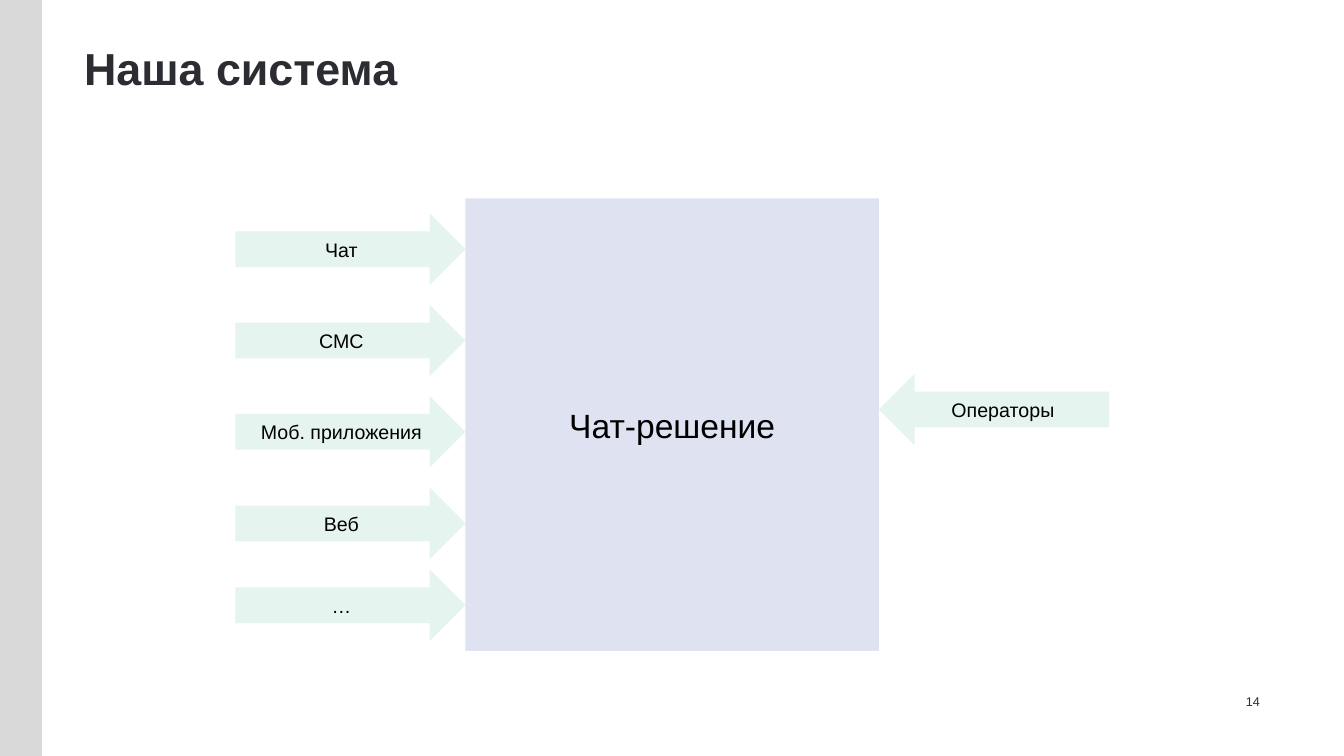
from pptx import Presentation
from pptx import util as u
from pptx.dml.color import RGBColor
from pptx.enum import shapes, text

Cm = u.Cm
INK = "2B2D33"
BLACK = "000000"
MINT = "E6F4F0"
LAVENDER = "DFE2F1"
GREY = "D9D9D9"
ARROW_W, ARROW_H = 5.8, 1.8
CHANNELS = [("Чат", 0.38), ("СМС", 2.68), ("Моб. приложения", 4.98),
            ("Веб", 7.29), ("…", 9.35)]


def color(value):
    return RGBColor.from_string(value)


def write(frame, words, size, ink, align, bold=False, **frame_format):
    frame.word_wrap = True
    for key, value in frame_format.items():
        setattr(frame, key, value)
    line = frame.paragraphs[0]
    line.text = words
    line.alignment = align
    font = line.runs[0].font
    for key, value in {"name": "Arial", "size": u.Pt(size), "bold": bold}.items():
        setattr(font, key, value)
    font.color.rgb = color(ink)
    return line


def add_block(slide, preset, box, fill, words="", size=14):
    block = slide.shapes.add_shape(preset, *map(Cm, box))
    block.shadow.inherit = False
    block.fill.solid()
    block.fill.fore_color.rgb = color(fill)
    block.line.fill.background()
    if words:
        write(block.text_frame, words, size, BLACK, text.PP_ALIGN.CENTER,
              vertical_anchor=text.MSO_ANCHOR.MIDDLE)


def add_heading(slide, box, words):
    heading = slide.shapes.title
    places = dict(zip(("left", "top", "width", "height"), map(Cm, box)))
    for key, value in places.items():
        setattr(heading, key, value)
    line = write(heading.text_frame, words, 32, INK, text.PP_ALIGN.LEFT, bold=True,
                 margin_left=0, vertical_anchor=text.MSO_ANCHOR.TOP,
                 auto_size=text.MSO_AUTO_SIZE.NONE)
    line.line_spacing = 0.9
    line.space_before = u.Pt(0)


def add_page_number(slide, box, number):
    page = slide.shapes.add_textbox(*map(Cm, box))
    write(page.text_frame, number, 9, INK, text.PP_ALIGN.RIGHT,
          margin_right=0, vertical_anchor=text.MSO_ANCHOR.BOTTOM)


def add_chat_system(slide, box):
    left, top, width, height = box
    preset = shapes.MSO_SHAPE
    add_block(slide, preset.RECTANGLE, box, LAVENDER, "Чат-решение", 24)
    for channel, offset in CHANNELS:
        add_block(slide, preset.RIGHT_ARROW,
                  (left - ARROW_W, top + offset, ARROW_W, ARROW_H), MINT, channel)
    add_block(slide, preset.LEFT_ARROW,
              (left + width, top + 4.42, ARROW_W, ARROW_H), MINT, "Операторы")


def main():
    deck = Presentation()
    deck.slide_width, deck.slide_height = Cm(33.87), Cm(19.05)
    slide = deck.slides.add_slide(deck.slide_layouts[5])
    add_block(slide, shapes.MSO_SHAPE.RECTANGLE, (0, 0, 1.06, 19.05), GREY)
    add_page_number(slide, (29.63, 16.93, 2.12, 1.06), "14")
    add_heading(slide, (2.12, 1.06, 29.63, 1.59), "Наша система")
    add_chat_system(slide, (11.73, 5, 10.42, 11.4))
    deck.save("out.pptx")


if __name__ == "__main__":
    main()
